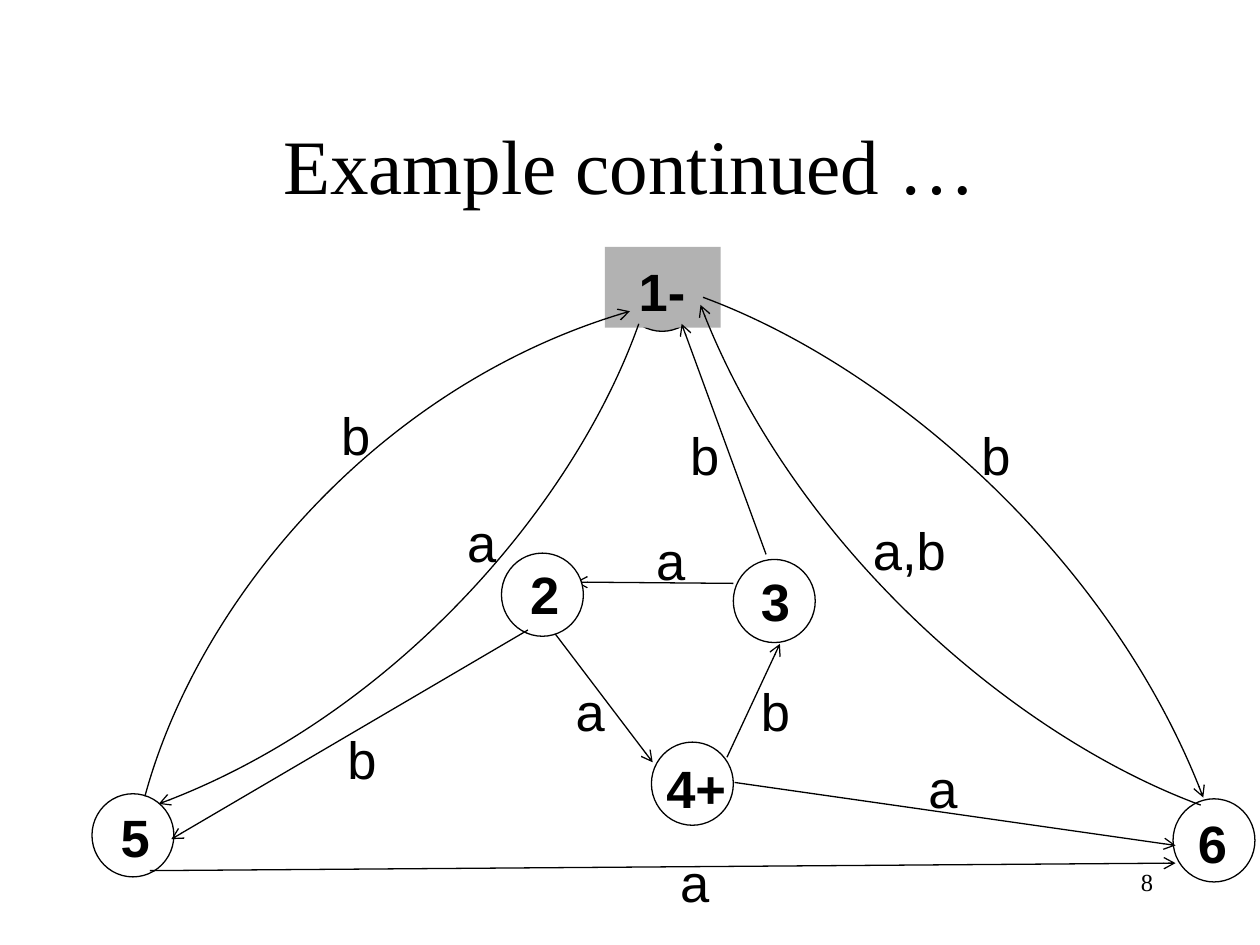
"""Draw the six-state automaton of the continued example."""
from dataclasses import dataclass
from typing import NamedTuple

from pptx import Presentation
from pptx import util as u
from pptx.dml.color import RGBColor
from pptx.enum import shapes, text
from pptx.oxml import ns
from lxml import etree


@dataclass(frozen=True)
class Theme:
    ink: RGBColor = RGBColor(0, 0, 0)
    paper: RGBColor = RGBColor(255, 255, 255)
    start: RGBColor = RGBColor(0xB2, 0xB2, 0xB2)
    serif: str = "Times New Roman"
    sans: str = "Arial"
    title_size: float = 44
    label_size: float = 30
    number_size: float = 14
    label_gap: float = 18.7
    line_width: float = 0.75


class Point(NamedTuple):
    column: float
    row: float


class Box(NamedTuple):
    column: float
    row: float
    columns: float
    rows: float


class State(NamedTuple):
    name: str
    corner: Point
    label: Point
    fill: RGBColor


class Label(NamedTuple):
    symbol: str
    corner: Point


class Arrow(NamedTuple):
    start: Point
    end: Point


class Curve(NamedTuple):
    start: Point
    first_control: Point
    second_control: Point
    end: Point


THEME = Theme()
WIDTH, HEIGHT = u.Inches(10), u.Inches(7.5)
COLUMN, ROW = WIDTH / 10, HEIGHT / 7.5
STATE_SIZE = (0.65, 0.66)
LABEL_SIZE = (1.17, 0.6)

STATES = [
    State("3", Point(5.82, 4.44), Point(5.94, 4.47), THEME.paper),
    State("2", Point(3.98, 4.39), Point(4.11, 4.41), THEME.paper),
    State("4+", Point(5.17, 5.89), Point(5.19, 5.95), THEME.paper),
    State("1-", Point(4.93, 1.97), Point(4.97, 2.01), THEME.start),
    State("5", Point(0.73, 6.3), Point(0.86, 6.34), THEME.paper),
    State("6", Point(9.31, 6.34), Point(9.41, 6.39), THEME.paper),
]
START_BLOCK = Box(4.8, 1.96, 0.92, 0.64)
INNER_ARROWS = [
    Arrow(Point(5.82, 4.63), Point(4.57, 4.62)),
    Arrow(Point(4.36, 4.97), Point(5.18, 6.05)),
    Arrow(Point(5.77, 6.01), Point(6.19, 5.11)),
]
OUTER_ARROWS = [
    Arrow(Point(5.83, 6.21), Point(9.33, 6.71)),
    Arrow(Point(1.19, 6.91), Point(9.33, 6.85)),
    Arrow(Point(6.08, 4.4), Point(5.41, 2.57)),
    Arrow(Point(4.19, 5), Point(1.36, 6.66)),
]
CURVES = [
    Curve(Point(5.07, 2.57), Point(4.56, 4.01), Point(3.1, 5.7), Point(1.26, 6.38)),
    Curve(Point(1.15, 6.32), Point(1.57, 4.77), Point(3.02, 3.04), Point(5, 2.47)),
    Curve(Point(9.53, 6.39), Point(8.04, 5.84), Point(6.28, 4.31), Point(5.56, 2.42)),
    Curve(Point(5.58, 2.36), Point(7.07, 2.91), Point(8.83, 4.44), Point(9.55, 6.33)),
]
LABELS = [
    Label("a", Point(5.3, 6.7)),
    Label("a", Point(3.61, 4)),
    Label("a", Point(5.11, 4.14)),
    Label("a", Point(4.47, 5.34)),
    Label("a", Point(7.27, 5.95)),
    Label("b", Point(2.61, 3.15)),
    Label("b", Point(5.38, 3.31)),
    Label("b", Point(7.69, 3.31)),
    Label("b", Point(5.94, 5.34)),
    Label("a,b", Point(6.83, 4.06)),
    Label("b", Point(2.66, 5.72)),
]


def place(point: Point) -> tuple[int, int]:
    return round(point.column * COLUMN), round(point.row * ROW)


def frame(box: Box) -> tuple[int, int, int, int]:
    return place(Point(*box[:2])) + place(Point(*box[2:]))


def ink_line(shape) -> None:
    shape.line.color.rgb = THEME.ink
    shape.line.width = u.Pt(THEME.line_width)


def add_arrowhead(shape) -> None:
    outline = shape.element.spPr.find(ns.qn("a:ln"))
    etree.SubElement(outline, ns.qn("a:tailEnd"), type="arrow")


def draw_arrow(slide, arrow: Arrow) -> None:
    connector = slide.shapes.add_connector(
        shapes.MSO_CONNECTOR.STRAIGHT, *place(arrow.start), *place(arrow.end))
    ink_line(connector)
    add_arrowhead(connector)
    etree.SubElement(connector.element.spPr, ns.qn("a:effectLst"))


def draw_curve(slide, curve: Curve) -> None:
    builder = slide.shapes.build_freeform(*place(curve.start))
    builder.add_line_segments([place(point) for point in curve[1:]], close=False)
    shape = builder.convert_to_shape()
    outline = next(shape.element.iter(ns.qn("a:path")))
    bezier = etree.SubElement(outline, ns.qn("a:cubicBezTo"))
    for segment in outline.findall(ns.qn("a:lnTo")):
        bezier.append(segment[0])
        outline.remove(segment)
    shape.shadow.inherit = False
    shape.fill.background()
    ink_line(shape)
    add_arrowhead(shape)


def draw_block(slide, kind, box: Box, fill: RGBColor):
    shape = slide.shapes.add_shape(kind, *frame(box))
    shape.shadow.inherit = False
    shape.fill.solid()
    shape.fill.fore_color.rgb = fill
    shape.line.fill.background()
    return shape


def draw_text(slide, box: Box, words: str, font: str, size: float,
              align=text.PP_ALIGN.LEFT, bold: bool = False):
    shape = slide.shapes.add_textbox(*frame(box))
    shape.text_frame.word_wrap = True
    shape.text_frame.text = words
    paragraph = shape.text_frame.paragraphs[0]
    paragraph.alignment = align
    style = paragraph.runs[0].font
    style.name, style.size, style.bold = font, u.Pt(size), bold
    style.color.rgb = THEME.ink
    return shape


def draw_label(slide, label: Label, bold: bool = False) -> None:
    shape = draw_text(slide, Box(*label.corner, *LABEL_SIZE), label.symbol,
                      THEME.sans, THEME.label_size, bold=bold)
    shape.text_frame.auto_size = text.MSO_AUTO_SIZE.SHAPE_TO_FIT_TEXT
    shape.text_frame.paragraphs[0].space_before = u.Pt(THEME.label_gap)


def main() -> None:
    presentation = Presentation()
    presentation.slide_width, presentation.slide_height = WIDTH, HEIGHT
    slide = presentation.slides.add_slide(presentation.slide_layouts[6])
    title = draw_text(slide, Box(0.75, 0.67, 8.5, 1.25), "Example continued …",
                      THEME.serif, THEME.title_size, text.PP_ALIGN.CENTER)
    title.text_frame.vertical_anchor = text.MSO_ANCHOR.MIDDLE
    for arrow in INNER_ARROWS:
        draw_arrow(slide, arrow)
    for state in STATES:
        ink_line(draw_block(slide, shapes.MSO_SHAPE.OVAL,
                            Box(*state.corner, *STATE_SIZE), state.fill))
    draw_block(slide, shapes.MSO_SHAPE.RECTANGLE, START_BLOCK, THEME.start)
    for arrow in OUTER_ARROWS:
        draw_arrow(slide, arrow)
    for curve in CURVES:
        draw_curve(slide, curve)
    for state in STATES:
        draw_label(slide, Label(state.name, state.label), bold=True)
    for label in LABELS:
        draw_label(slide, label)
    draw_text(slide, Box(7.17, 6.83, 2.08, 0.5), "8", THEME.serif,
              THEME.number_size, text.PP_ALIGN.RIGHT)
    presentation.save("out.pptx")


if __name__ == "__main__":
    main()
